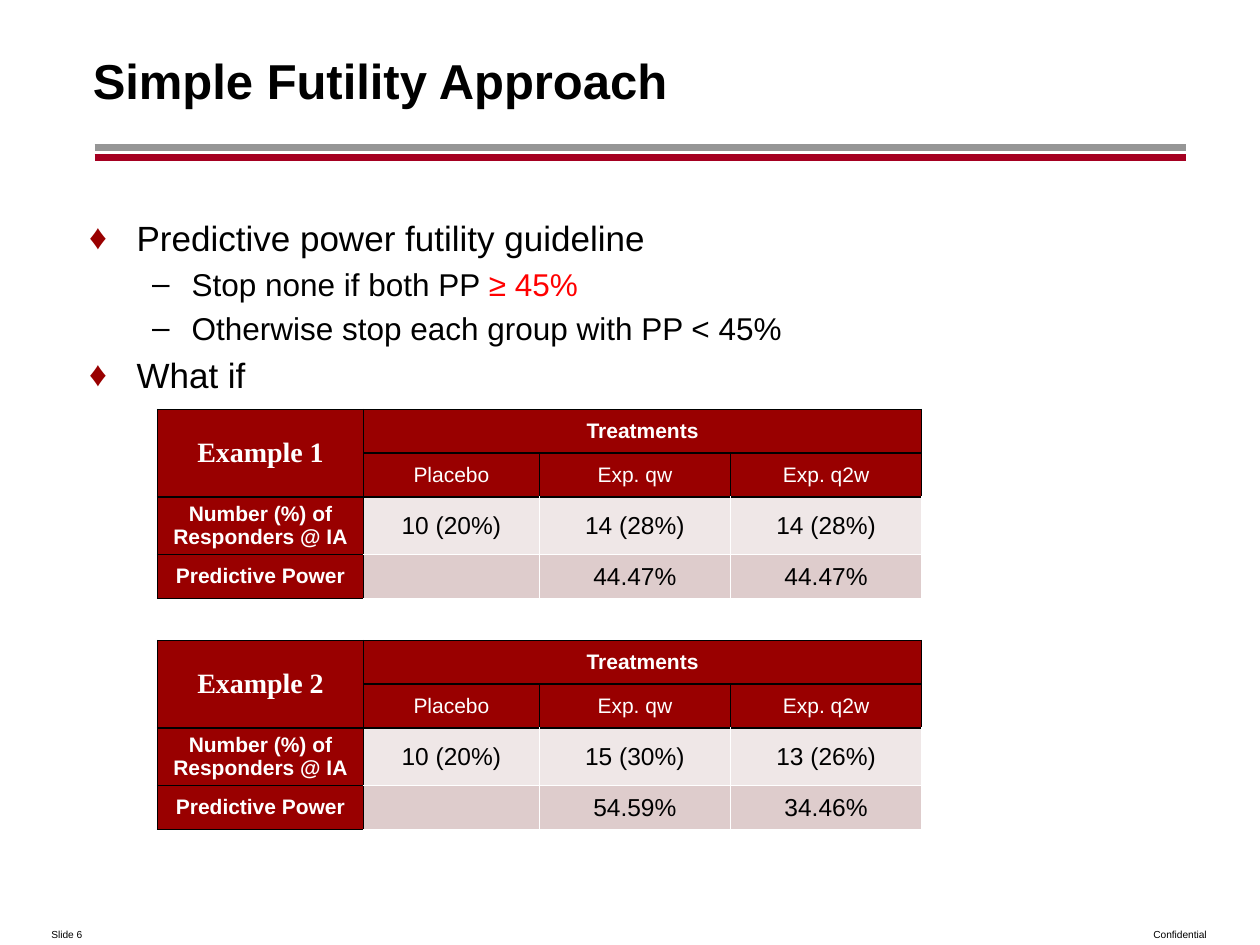
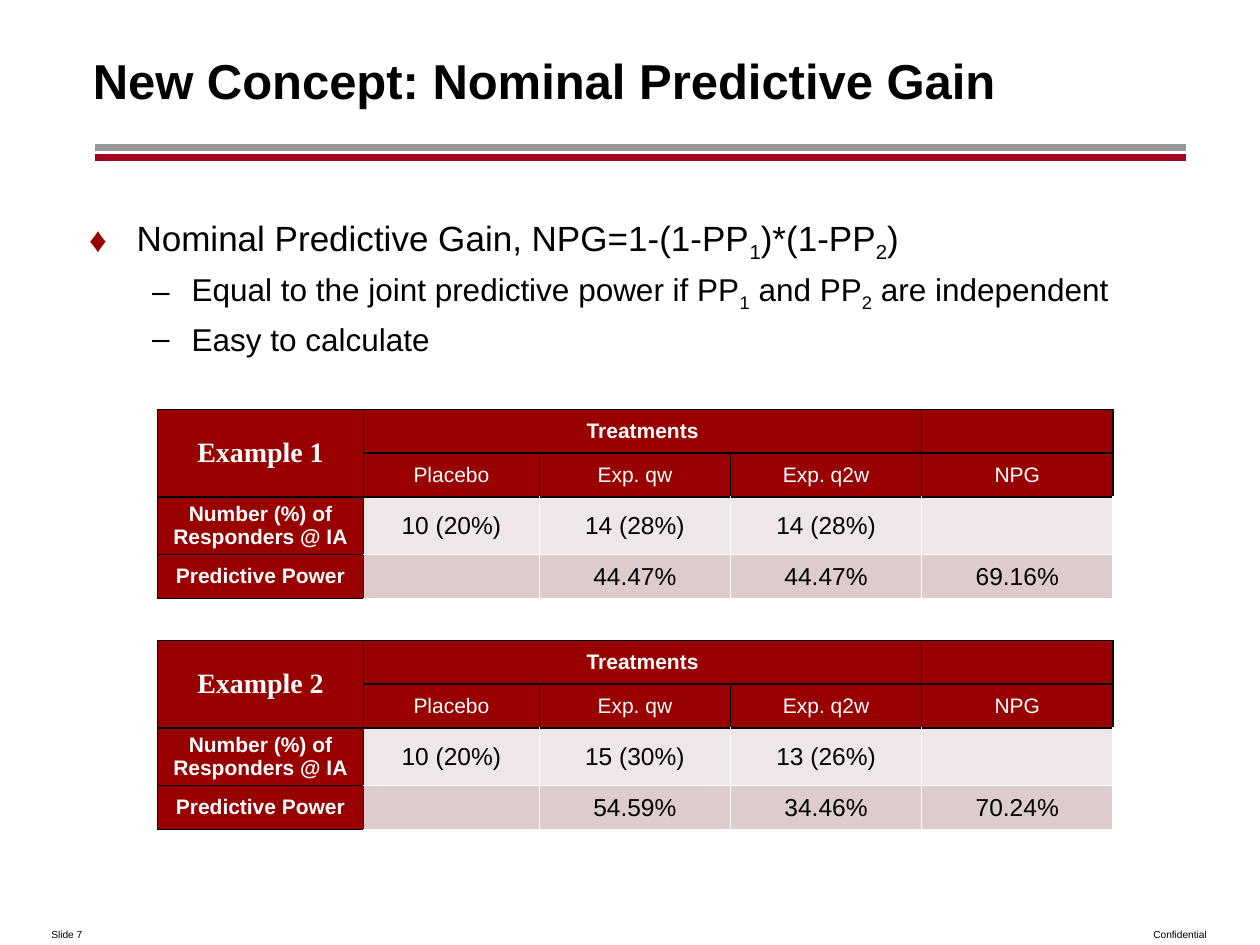
import pptx
import pptx.dml.color
import pptx.enum.shapes
import pptx.enum.text
import pptx.util
from lxml import etree
from pptx.oxml.ns import qn

Pt = pptx.util.Pt
ALIGN = pptx.enum.text.PP_ALIGN
ANCHOR = pptx.enum.text.MSO_ANCHOR

BLACK, WHITE, RED = "000000", "FFFFFF", "FF0000"
MAROON, PALE_ROSE, ROSE = "990000", "EFE7E7", "DECCCC"
RULES = {84.25: "969696", 90: "A50021"}
SUBSCRIPT = {"baseline": -25000}
BODY_INSETS = {"margin_left": 0, "margin_top": Pt(3.6), "margin_right": Pt(7.2), "margin_bottom": Pt(3.6)}
CELL_FORMAT = {"margin_left": Pt(5), "margin_right": Pt(5), "margin_top": 0, "margin_bottom": 0,
               "vertical_anchor": ANCHOR.MIDDLE}
BULLETS = [
    {"size": 20, "mark": "♦", "color": MAROON, "left": 27, "hang": 27},
    {"size": 18, "mark": "–", "color": BLACK, "left": 58.5, "hang": 22.5},
]
LABEL_WIDTH, PLACEBO_WIDTH, GROUP_WIDTH = 117.75, 100.5, 109.25
ROW_HEIGHTS = [25, 25, 33, 25]
TABLE_LEFT, TABLE_TOP, TABLE_PITCH = 90, 234, 132


def rgb(code):
    """Turn a hex string into a colour."""
    return pptx.dml.color.RGBColor.from_string(code)


def apply_format(target, values):
    """Set each named attribute on the target."""
    for name, value in values.items():
        setattr(target, name, value)


def add_element(parent, tag, **attributes):
    """Append a drawing element with attributes."""
    element = etree.SubElement(parent, qn(tag))
    for name, value in attributes.items():
        element.set(name, str(value))
    return element


def write_run(paragraph, text, size, color=BLACK, bold=False, name="Arial", baseline=0):
    """Add one formatted run to a paragraph."""
    run = paragraph.add_run()
    run.text = text
    apply_format(run.font, {"size": Pt(size), "bold": bold, "name": name})
    run.font.color.rgb = rgb(color)
    if baseline:
        run.font._element.set("baseline", str(baseline))


def add_frame(slide, left, top, width, height, **values):
    """Add a wrapping text box and return its text frame."""
    frame = slide.shapes.add_textbox(Pt(left), Pt(top), Pt(width), Pt(height)).text_frame
    apply_format(frame, {"word_wrap": True, **values})
    return frame


def add_rule(slide, y, color):
    """Draw one horizontal rule below the title."""
    rule = slide.shapes.add_connector(
        pptx.enum.shapes.MSO_CONNECTOR.STRAIGHT, Pt(54), Pt(y), Pt(678), Pt(y))
    rule.line.color.rgb = rgb(color)
    rule.line.width = Pt(4.25)
    add_element(rule._element.spPr, "a:effectLst")


def add_footer(slide, text, left, width, alignment):
    """Write one footer text."""
    paragraph = add_frame(slide, left, 520.5, width, 19.5).paragraphs[0]
    paragraph.alignment = alignment
    write_run(paragraph, text, 10, **SUBSCRIPT)


def add_base_slide(deck, title, number):
    """Add a slide with title, rules and footers."""
    slide = deck.slides.add_slide(deck.slide_layouts[6])
    for y, color in RULES.items():
        add_rule(slide, y, color)
    add_footer(slide, "Confidential", 652, 68, ALIGN.LEFT)
    add_footer(slide, f"Slide {number}", 0, 54, ALIGN.RIGHT)
    heading = add_frame(slide, 53, 10, 622, 71.5, vertical_anchor=ANCHOR.MIDDLE, **BODY_INSETS)
    write_run(heading.paragraphs[0], title, 28, bold=True)
    return slide


def set_bullet(paragraph, level):
    """Give a paragraph the indent, spacing and mark of its level."""
    style = BULLETS[level]
    paragraph.level = level
    properties = paragraph._p.get_or_add_pPr()
    properties.set("marL", str(Pt(style["left"])))
    properties.set("indent", str(-Pt(style["hang"])))
    add_element(add_element(properties, "a:spcBef"), "a:spcPct", val=20000)
    add_element(add_element(properties, "a:buClr"), "a:srgbClr", val=style["color"])
    add_element(properties, "a:buFont", typeface="Arial")
    add_element(properties, "a:buChar", char=style["mark"])


def add_points(slide, points):
    """Write the bulleted points, each a level and its runs."""
    frame = add_frame(slide, 51, 120, 624, 356.5, **BODY_INSETS)
    for index, (level, *runs) in enumerate(points):
        paragraph = frame.add_paragraph() if index else frame.paragraphs[0]
        set_bullet(paragraph, level)
        for text, look in runs:
            write_run(paragraph, text, BULLETS[level]["size"], **look)


def set_borders(cell, colors):
    """Draw the four cell borders in the given colours."""
    properties = cell._tc.get_or_add_tcPr()
    for side, color in zip("LRTB", colors):
        line = add_element(properties, f"a:ln{side}", w=Pt(1))
        add_element(add_element(line, "a:solidFill"), "a:srgbClr", val=color)


def cell_style(row, column):
    """Return fill, border colours and text look for a cell position."""
    if row < 2 or column == 0:
        look = {"size": 12, "color": WHITE, "bold": row != 1}
        if row == column == 0:
            look.update(size=16, name="Times New Roman")
        return MAROON, [BLACK] * 4, look
    left = BLACK if column == 1 else WHITE
    top = BLACK if row == 2 else WHITE
    return (PALE_ROSE if row == 2 else ROSE), [left, WHITE, top, WHITE], {"size": 14}


def add_example(slide, number, groups, responders, power):
    """Add the results table of one example."""
    rows = [
        [f"Example {number}", "Treatments"] + [""] * (len(groups) - 1),
        ["", *groups],
        ["Number (%) of Responders @ IA", *responders],
        ["Predictive Power", *power],
    ]
    widths = [LABEL_WIDTH, PLACEBO_WIDTH] + [GROUP_WIDTH] * (len(groups) - 1)
    table = slide.shapes.add_table(
        len(rows), len(widths), Pt(TABLE_LEFT), Pt(TABLE_TOP + (number - 1) * TABLE_PITCH),
        Pt(sum(widths)), Pt(sum(ROW_HEIGHTS))).table
    apply_format(table, {"first_row": False, "horz_banding": False})
    for column, width in zip(table.columns, widths):
        column.width = Pt(width)
    for row, height in zip(table.rows, ROW_HEIGHTS):
        row.height = Pt(height)
    for r, texts in enumerate(rows):
        for c, text in enumerate(texts):
            cell = table.cell(r, c)
            fill, borders, look = cell_style(r, c)
            apply_format(cell, CELL_FORMAT)
            set_borders(cell, borders)
            cell.fill.solid()
            cell.fill.fore_color.rgb = rgb(fill)
            if text:
                paragraph = cell.text_frame.paragraphs[0]
                paragraph.alignment = ALIGN.CENTER
                write_run(paragraph, text, **look)
    table.cell(0, 0).merge(table.cell(1, 0))
    table.cell(0, 1).merge(table.cell(0, 3))


def main():
    """Build and save the two slides."""
    deck = pptx.Presentation()
    apply_format(deck, {"slide_width": Pt(720), "slide_height": Pt(540)})
    groups = ["Placebo", "Exp. qw", "Exp. q2w"]
    examples = [
        (["10 (20%)", "14 (28%)", "14 (28%)"], ["", "44.47%", "44.47%"], "69.16%"),
        (["10 (20%)", "15 (30%)", "13 (26%)"], ["", "54.59%", "34.46%"], "70.24%"),
    ]

    futility = add_base_slide(deck, "Simple Futility Approach", 6)
    add_points(futility, [
        (0, ("Predictive power futility guideline", {})),
        (1, ("Stop none if both PP ", {}), ("≥ 45%", {"color": RED})),
        (1, ("Otherwise stop each group with PP < 45%", {})),
        (0, ("What if", {})),
    ])

    gain = add_base_slide(deck, "New Concept: Nominal Predictive Gain", 7)
    add_points(gain, [
        (0, ("Nominal Predictive Gain, NPG=1-(1-PP", {}), ("1", SUBSCRIPT),
         (")*(1-PP", {}), ("2", SUBSCRIPT), (")", {})),
        (1, ("Equal to the joint predictive power if PP", {}), ("1", SUBSCRIPT),
         (" and PP", {}), ("2", SUBSCRIPT), (" are independent", {})),
        (1, ("Easy to calculate", {})),
    ])

    for number, (responders, power, npg) in enumerate(examples, 1):
        add_example(futility, number, groups, responders, power)
        add_example(gain, number, groups + ["NPG"], responders + [""], power + [npg])

    deck.save("out.pptx")


if __name__ == "__main__":
    main()
